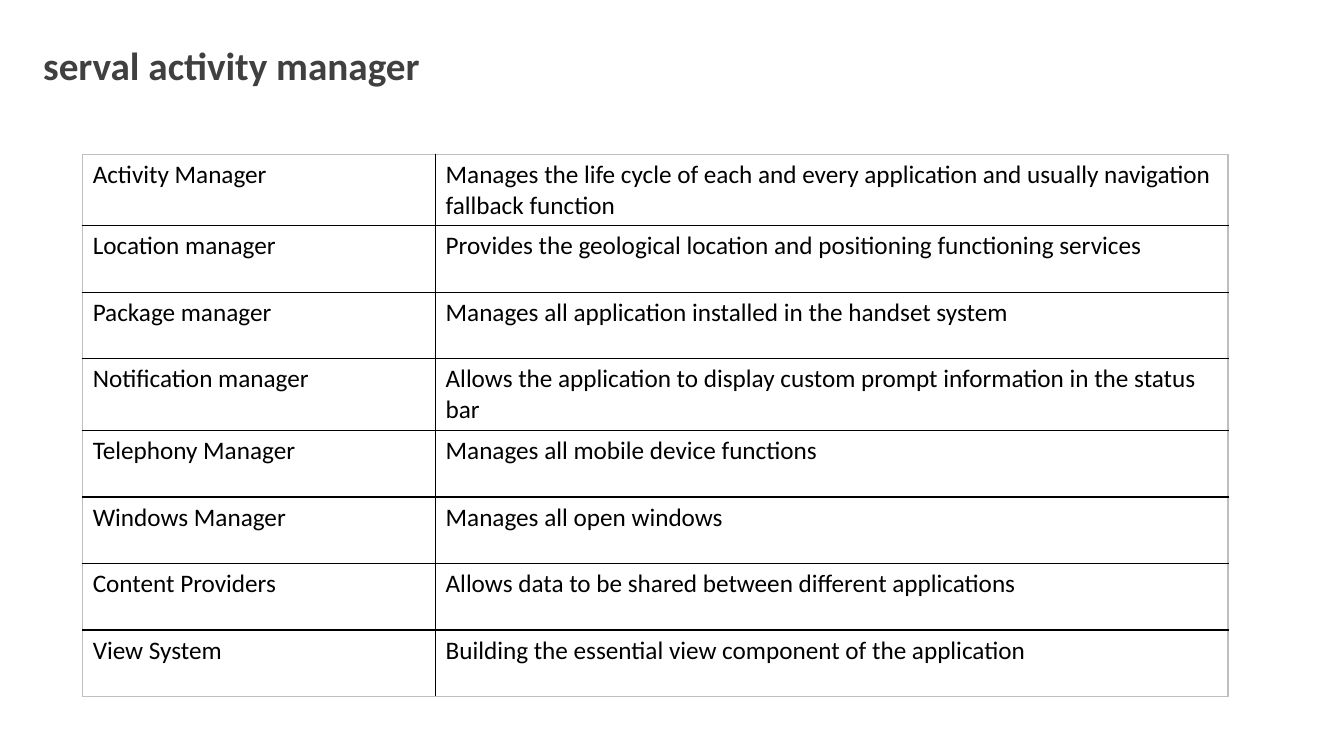
from dataclasses import dataclass

from lxml.etree import SubElement
from pptx import Presentation
from pptx.dml.color import RGBColor
from pptx.enum.text import MSO_ANCHOR, MSO_AUTO_SIZE
from pptx.oxml.ns import qn
from pptx.util import Inches, Pt


@dataclass(frozen=True)
class Theme:
    """Colours, font and type sizes of the slide."""
    font: str = "Calibri"
    title_color: str = "404040"
    text_color: str = "000000"
    inner_line: str = "000000"
    outer_line: str = "BFBFBF"
    title_size: int = 28
    body_size: int = 18
    line_width: int = 1


THEME = Theme()

SERVICES = [
    ("Activity Manager", "Manages the life cycle of each and every application "
     "and usually navigation fallback function"),
    ("Location manager", "Provides the geological location and positioning functioning services"),
    ("Package manager", "Manages all application installed in the handset system"),
    ("Notification manager", "Allows the application to display custom prompt "
     "information in the status bar"),
    ("Telephony Manager", "Manages all mobile device functions"),
    ("Windows Manager", "Manages all open windows"),
    ("Content Providers", "Allows data to be shared between different applications"),
    ("View System", "Building the essential view component of the application"),
]


def set_attrs(obj, values):
    """Set each named attribute of an object."""
    for name, value in values.items():
        setattr(obj, name, value)


def write_text(tf, text, size, color, bold=False):
    """Put one formatted run into a text frame."""
    r = tf.paragraphs[0].add_run()
    r.text = text
    set_attrs(r.font, {"name": THEME.font, "size": Pt(size), "bold": bold})
    r.font.color.rgb = RGBColor.from_string(color)


def add_title(s, text):
    """Add the slide title."""
    sp = s.shapes.add_textbox(Inches(0.33), Inches(0.36), Inches(6.66), Inches(1.04))
    tf = sp.text_frame
    set_attrs(tf, {"word_wrap": True, "auto_size": MSO_AUTO_SIZE.NONE,
                   "vertical_anchor": MSO_ANCHOR.TOP})
    write_text(tf, text, THEME.title_size, THEME.title_color, bold=True)


def set_borders(cell, outer_sides):
    """Draw the four cell borders, with a lighter line on outer sides."""
    tcPr = cell._tc.get_or_add_tcPr()
    for i, side in enumerate("LRTB"):
        color = THEME.outer_line if side in outer_sides else THEME.inner_line
        ln = SubElement(tcPr, qn(f"a:ln{side}"), w=str(Pt(THEME.line_width)))
        fill = SubElement(ln, qn("a:solidFill"))
        SubElement(fill, qn("a:srgbClr"), val=color)
        tcPr.insert(i, ln)


def add_grid(s, rows, widths):
    """Add a plain ruled table of text rows."""
    frame = s.shapes.add_table(len(rows), len(widths), Inches(0.82), Inches(1.53),
                               Inches(sum(widths)), Inches(5.42))
    table = frame.table
    set_attrs(table, {"first_row": False, "horz_banding": False})
    for col, width in zip(table.columns, widths):
        col.width = Inches(width)
    last_row, last_col = len(rows) - 1, len(widths) - 1
    for i, texts in enumerate(rows):
        table.rows[i].height = Inches(0.66 if i else 0.7)
        for j, text in enumerate(texts):
            cell = table.cell(i, j)
            cell.fill.background()
            edges = {"L": j == 0, "R": j == last_col, "T": i == 0, "B": i == last_row}
            set_borders(cell, [side for side, outer in edges.items() if outer])
            write_text(cell.text_frame, text, THEME.body_size, THEME.text_color)
    frame.height = Inches(5.42)


def main():
    """Build and save the slide."""
    prs = Presentation()
    set_attrs(prs, {"slide_width": Inches(13.33), "slide_height": Inches(7.5)})
    s = prs.slides.add_slide(prs.slide_layouts[6])
    add_title(s, "serval activity manager")
    add_grid(s, SERVICES, [3.5, 7.86])
    prs.save("out.pptx")


if __name__ == "__main__":
    main()
